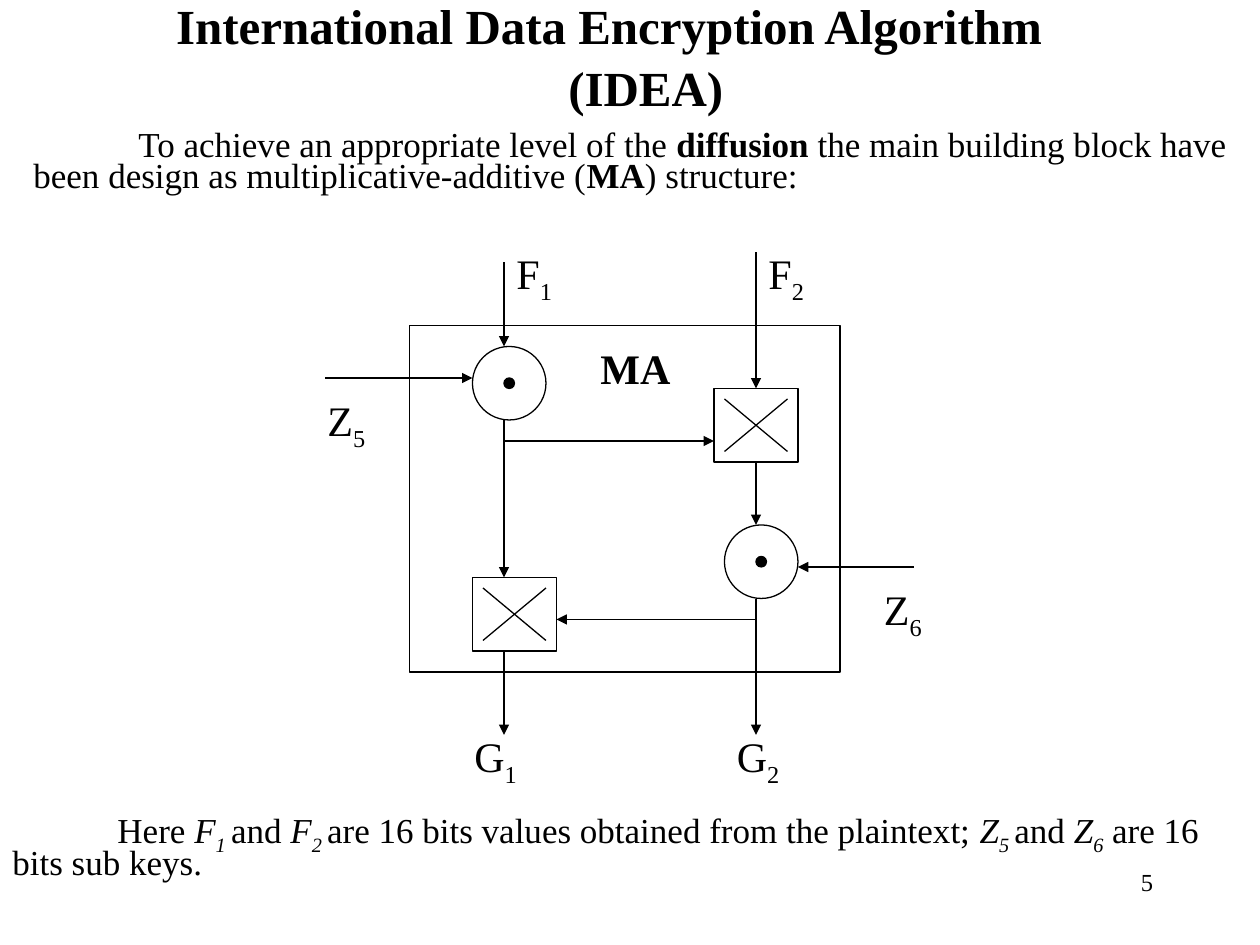
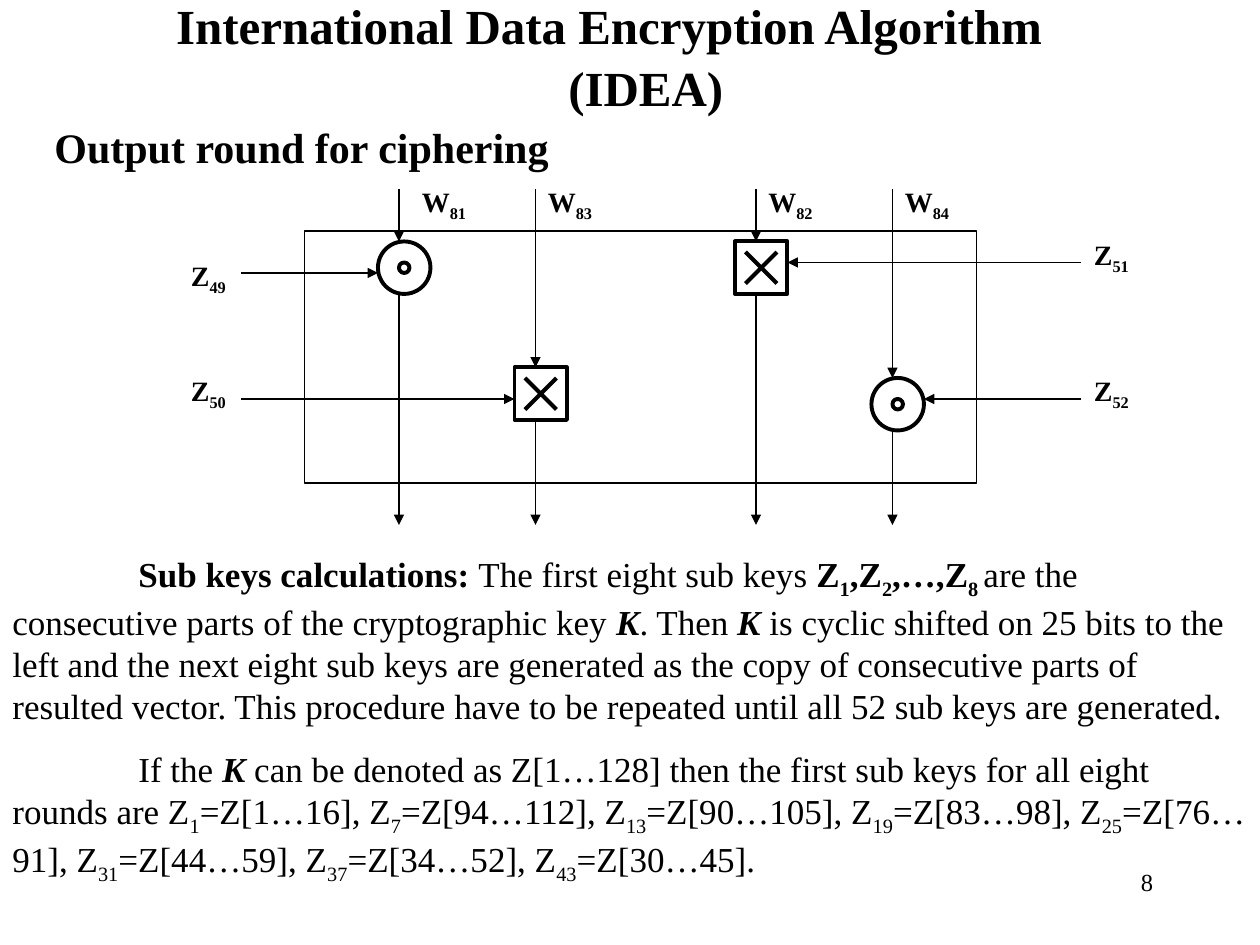
from lxml.etree import SubElement
from pptx import Presentation
from pptx.dml.color import RGBColor
from pptx.enum.shapes import MSO_CONNECTOR, MSO_SHAPE
from pptx.enum.text import MSO_ANCHOR, MSO_AUTO_SIZE, PP_ALIGN
from pptx.oxml.ns import qn
from pptx.util import Pt

INK = "000000"
FONT = "Times New Roman"
THIN, THICK = 0.75, 2.25
GAP = 6
DOT = 6


def color(hex_value):
    return RGBColor.from_string(hex_value)


def format_run(r, size, style=""):
    r.font.name = FONT
    r.font.size = Pt(size)
    r.font.color.rgb = color(INK)
    r.font.bold = "b" in style
    r.font.italic = "i" in style
    if "s" in style:
        r._r.get_or_add_rPr().set("baseline", "-25000")


def add_title(s, number):
    sp = s.shapes.title
    sp.left, sp.top, sp.width, sp.height = Pt(65), Pt(0), Pt(566), Pt(70)
    tf = sp.text_frame
    tf.auto_size = MSO_AUTO_SIZE.NONE
    tf.vertical_anchor = MSO_ANCHOR.MIDDLE
    tf.text = "International Data Encryption Algorithm\n(IDEA)"
    for p in tf.paragraphs:
        p.alignment = PP_ALIGN.CENTER
        p.line_spacing = 0.8
        p.space_before = Pt(8.8)
        format_run(p.runs[0], 28, "b")
    tf.paragraphs[1]._p.get_or_add_pPr().set("marL", str(Pt(42)))
    p = add_text(s, 516, 492, 150, 36, [[number]], 14)
    p.alignment = PP_ALIGN.RIGHT


def add_text(s, left, top, width, height, paragraphs, size,
             indent=0, spacing=1.0, before=0):
    tf = s.shapes.add_textbox(Pt(left), Pt(top), Pt(width), Pt(height)).text_frame
    tf.word_wrap = True
    for i, pieces in enumerate(paragraphs):
        p = tf.add_paragraph() if i else tf.paragraphs[0]
        p.line_spacing = spacing
        p.space_before = Pt(before)
        p._p.get_or_add_pPr().set("indent", str(Pt(indent)))
        for piece in pieces:
            text, style = (piece, "") if isinstance(piece, str) else piece
            r = p.add_run()
            r.text = text
            format_run(r, size, style)
    return p


def add_label(s, left, top, name, index, size, style=""):
    add_text(s, left, top, 54, size * 1.67, [[(name, style), (index, style + "s")]], size)


def add_outline(s, kind, left, top, width, height, weight=THIN, fill=None):
    sp = s.shapes.add_shape(kind, Pt(left), Pt(top), Pt(width), Pt(height))
    sp.shadow.inherit = False
    sp.line.color.rgb = color(INK)
    sp.line.width = Pt(weight)
    if fill:
        sp.fill.solid()
        sp.fill.fore_color.rgb = color(fill)
    else:
        sp.fill.background()
    return sp


def add_line(s, x1, y1, x2, y2, weight=THIN):
    c = s.shapes.add_connector(MSO_CONNECTOR.STRAIGHT, Pt(x1), Pt(y1), Pt(x2), Pt(y2))
    c.line.color.rgb = color(INK)
    c.line.width = Pt(weight)
    SubElement(c._element.spPr, qn("a:effectLst"))
    return c


def add_arrow(s, x1, y1, x2, y2):
    c = add_line(s, x1, y1, x2, y2)
    SubElement(c.line._get_or_add_ln(), qn("a:tailEnd")).set("type", "triangle")
    return c


def add_multiplier(s, left, top, size, weight, fill=None):
    add_outline(s, MSO_SHAPE.OVAL, left, top, size, size, weight)
    offset = (size - DOT) / 2
    add_outline(s, MSO_SHAPE.OVAL, left + offset, top + offset, DOT, DOT, weight, fill)


def add_adder(s, left, top, width, height, weight):
    sp = add_outline(s, MSO_SHAPE.RECTANGLE, left, top, width, height, weight)
    x1, x2 = left + GAP, left + width - GAP
    y1, y2 = top + GAP, top + height - GAP
    add_line(s, x1, y1, x2, y2, weight)
    add_line(s, x2, y1, x1, y2, weight)
    return sp


def build_ma_structure(s):
    add_title(s, "5")
    add_text(s, 12, 72, 708, 43, [[
        "To achieve an appropriate level of the ", ("diffusion", "b"),
        " the main building block have been design as multiplicative-additive (",
        ("MA", "b"), ") structure:"]], 20, indent=60, spacing=0.75)

    add_outline(s, MSO_SHAPE.RECTANGLE, 234, 186, 246, 198)
    for left, top in ((270, 198), (414, 300)):
        add_multiplier(s, left, top, 42, THIN, INK)
    upper_adder = add_adder(s, 408, 222, 48, 42, THIN)
    add_adder(s, 270, 330, 48, 42, THIN)

    left_x, right_x = 288, 432
    add_arrow(s, right_x, 144, right_x, 222).end_connect(upper_adder, 0)
    add_arrow(s, right_x, 264, right_x, 300).begin_connect(upper_adder, 2)
    for x, start, end in ((left_x, 150, 198), (left_x, 240, 330),
                          (left_x, 372, 420), (right_x, 342, 420)):
        add_arrow(s, x, start, x, end)
    for y, start, end in ((252, left_x, 408), (354, right_x, 318),
                          (216, 186, 270), (324, 522, 456)):
        add_arrow(s, start, y, end, y)

    for left, top, name, index in (
            (288, 138, "F", "1"), (432, 138, "F", "2"),
            (180, 222, "Z", "5"), (498, 330, "Z", "6"),
            (264, 414, "G", "1"), (414, 414, "G", "2")):
        add_label(s, left, top, name, index, 24)
    add_text(s, 336, 192, 90, 36, [[("MA", "b")]], 24)

    add_text(s, 0, 462, 708, 45, [[
        "Here ", ("F", "i"), ("1 ", "is"), "and ", ("F", "i"), ("2 ", "is"),
        "are 16 bits values obtained from the plaintext; ",
        ("Z", "i"), ("5 ", "is"), "and ", ("Z", "i"), ("6", "is"),
        " are 16 bits sub keys."]], 20, indent=60, spacing=0.75)


def build_output_round(s):
    add_title(s, "8")
    add_text(s, 24, 66, 468, 36, [[("Output round for ciphering", "b")]], 24)

    add_outline(s, MSO_SHAPE.RECTANGLE, 174, 132, 384, 144)
    size = 30
    for left, top in ((216, 138), (498, 216)):
        add_multiplier(s, left, top, size, THICK)
    for left, top in ((420, 138), (294, 210)):
        add_adder(s, left, top, size, size, THICK)

    for x, symbol_top, label_left, index in (
            (228, 138, 234, "81"), (306, 210, 306, "83"),
            (432, 138, 432, "82"), (510, 216, 510, "84")):
        add_arrow(s, x, 108, x, symbol_top)
        add_arrow(s, x, symbol_top + size, x, 300)
        add_label(s, label_left, 102, "W", index, 16, "b")
    for y, start, end, label_left, label_top, index in (
            (156, 138, 216, 102, 144, "49"), (228, 138, 294, 102, 210, "50"),
            (150, 618, 450, 618, 132, "51"), (228, 618, 528, 618, 210, "52")):
        add_arrow(s, start, y, end, y)
        add_label(s, label_left, label_top, "Z", index, 16, "b")

    calculation = [
        ("Sub keys calculations: ", "b"), "The first eight sub keys",
        (" Z", "b"), ("1", "bs"), (",Z", "b"), ("2", "bs"), (",…,Z", "b"), ("8 ", "bs"),
        "are the consecutive parts of the cryptographic key ", ("K", "bi"),
        ". Then ", ("K", "bi"),
        " is cyclic shifted on 25 bits to the left and the next eight sub keys are "
        "generated as the copy of consecutive parts of resulted vector. This procedure "
        "have to be repeated until all 52 sub keys are generated."]
    first_keys = [
        "If the ", ("K", "bi"),
        " can be denoted as Z[1…128] then the first sub keys for all eight rounds are "]
    bit_ranges = ("1…16", "94…112", "90…105", "83…98", "76…91", "44…59", "34…52", "30…45")
    for i, bits in enumerate(bit_ranges):
        end = "." if i == len(bit_ranges) - 1 else ", "
        first_keys += ["Z", (str(6 * i + 1), "s"), f"=Z[{bits}]{end}"]
    add_text(s, 0, 312, 720, 198, [calculation, first_keys], 20, indent=72, before=12.5)


def main():
    prs = Presentation()
    prs.slide_width, prs.slide_height = Pt(720), Pt(540)
    title_only = prs.slide_layouts[5]
    for build in (build_ma_structure, build_output_round):
        build(prs.slides.add_slide(title_only))
    prs.save("out.pptx")


if __name__ == "__main__":
    main()
